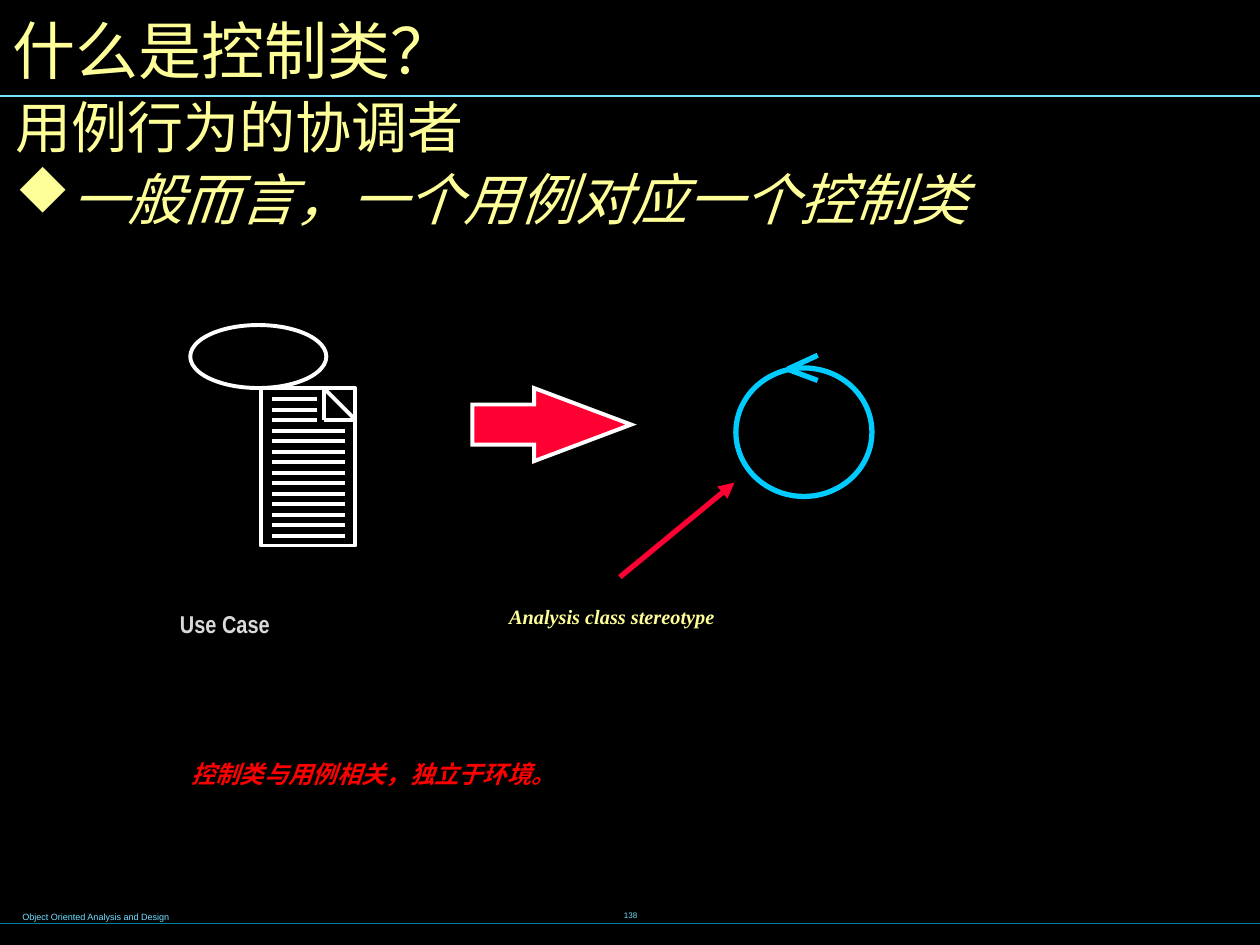
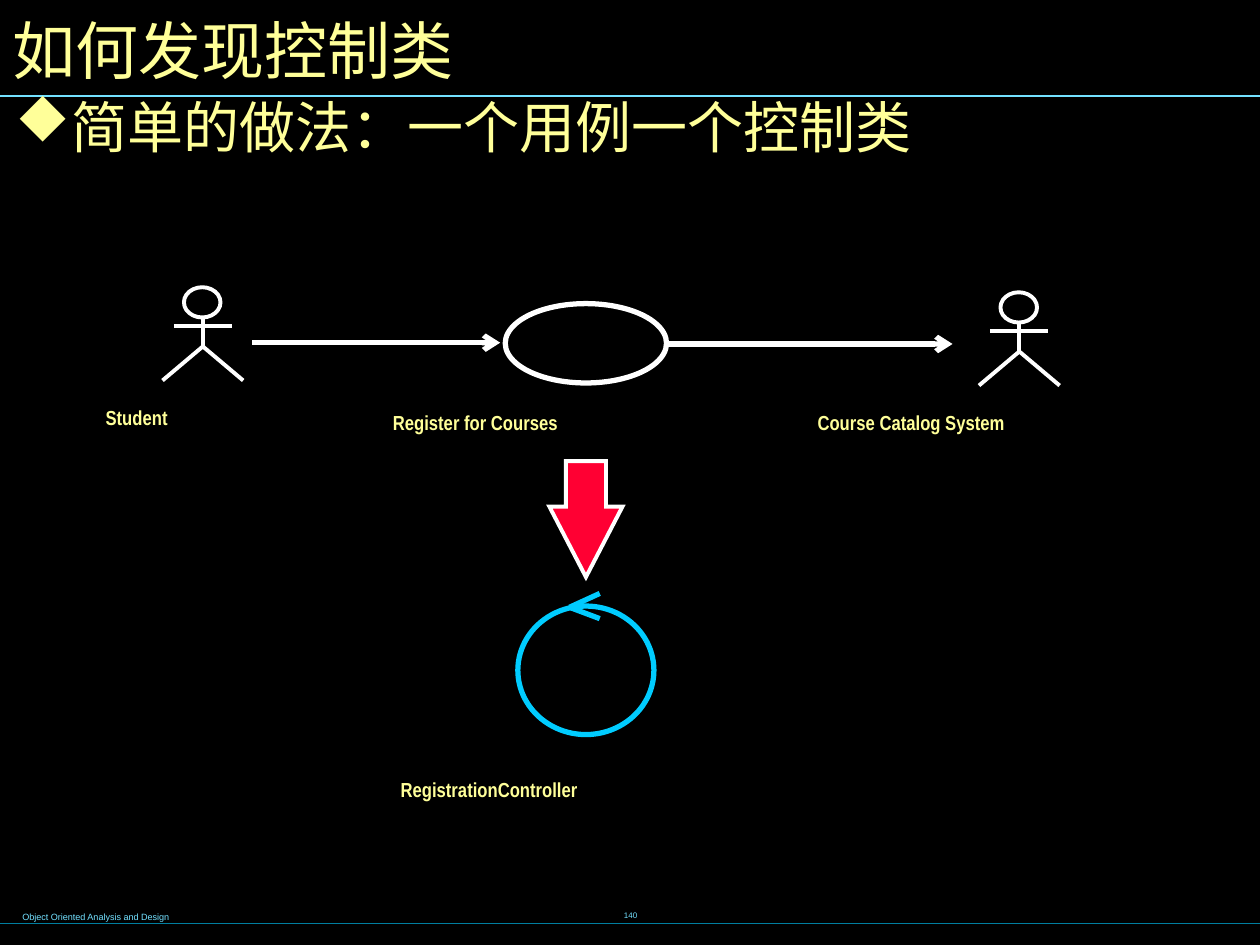
import pptx
import pptx.dml.color
import pptx.enum.shapes
import pptx.enum.text
import pptx.oxml.ns
import pptx.util
from lxml import etree

Inches = pptx.util.Inches
Pt = pptx.util.Pt
color = pptx.dml.color.RGBColor.from_string
qn = pptx.oxml.ns.qn
MSO_SHAPE = pptx.enum.shapes.MSO_SHAPE
STRAIGHT = pptx.enum.shapes.MSO_CONNECTOR.STRAIGHT
ANCHOR = pptx.enum.text.MSO_ANCHOR
ALIGN = pptx.enum.text.PP_ALIGN

BLACK, WHITE, YELLOW = "000000", "FFFFFF", "FFFF99"
RED, BLUE, PALE_BLUE, TEAL = "FF0033", "00CCFF", "73E1FF", "007E9F"
NARROW = "Arial Narrow"


def add_line(shapes, start, end, line_color, width, arrowhead=None):
    line = shapes.add_connector(STRAIGHT, *map(Inches, start + end))
    line.line.color.rgb = color(line_color)
    line.line.width = Pt(width)
    if arrowhead:
        etree.SubElement(line.line._get_or_add_ln(), qn("a:tailEnd"), type=arrowhead)
    etree.SubElement(line._element.spPr, qn("a:effectLst"))


def add_label(slide, box, text, size, font, text_color, inset=(0.1, 0.05), wrap=True,
              bold=True, italic=False):
    """Add a one-line text box whose text is set as a subscript."""
    label = slide.shapes.add_textbox(*map(Inches, box))
    frame = label.text_frame
    frame.word_wrap = wrap
    frame.margin_left = frame.margin_right = Inches(inset[0])
    frame.margin_top = frame.margin_bottom = Inches(inset[1])
    paragraph = frame.paragraphs[0]
    run = paragraph.add_run()
    run.text = text
    run._r.get_or_add_rPr().set("baseline", "-25000")
    paragraph.font.size = Pt(size)
    paragraph.font.name = font
    paragraph.font.bold = bold
    paragraph.font.italic = italic
    paragraph.font.color.rgb = color(text_color)
    return label


presentation = pptx.Presentation()
presentation.slide_width, presentation.slide_height = Inches(10), Inches(7.5)
background = presentation.slide_master.background.fill
background.solid()
background.fore_color.rgb = color(BLACK)

# Frame, title and body text; each body line is (text, bulleted, hanging indent, italic)
pages = [
    ("什么是控制类？", "138", 1.09, [
        ("用例行为的协调者", False, 0, False),
        ("一般而言，一个用例对应一个控制类", True, 0, True)]),
    ("如何发现控制类", "140", 5.52, [
        ("简单的做法：一个用例一个控制类", True, 0.37, False)]),
]
slides = []
for title_text, number, body_height, body_lines in pages:
    slide = presentation.slides.add_slide(presentation.slide_layouts[5])
    slides.append(slide)
    add_label(slide, (0.08, 7.1, 5.1, 0.25), "Object Oriented Analysis and Design",
              9, "Arial", PALE_BLUE, bold=False)
    page_number = add_label(slide, (3.42, 6.98, 3.17, 0.5), number, 8, "Arial",
                            PALE_BLUE, bold=False)
    page_number.text_frame.vertical_anchor = ANCHOR.MIDDLE
    page_number.text_frame.paragraphs[0].alignment = ALIGN.CENTER
    add_line(slide.shapes, (0, 7.33), (10, 7.33), TEAL, 1)
    add_line(slide.shapes, (0, 0.76), (10, 0.76), PALE_BLUE, 1)

    title = slide.shapes.title
    title.left, title.top, title.width, title.height = map(Inches, (0, 0, 9.93, 0.78))
    title.text_frame.text = title_text
    title.text_frame.auto_size = pptx.enum.text.MSO_AUTO_SIZE.NONE
    title.text_frame.vertical_anchor = ANCHOR.MIDDLE
    paragraph = title.text_frame.paragraphs[0]
    paragraph.alignment = ALIGN.LEFT
    paragraph.font.size = Pt(36)
    paragraph.font.name = NARROW
    paragraph.font.color.rgb = color(YELLOW)

    body = slide.shapes.add_textbox(*map(Inches, (0, 0.78, 9.28, body_height)))
    frame = body.text_frame
    frame.word_wrap = True
    frame.margin_left = frame.margin_right = Inches(0.12)
    frame.margin_top = frame.margin_bottom = Inches(0.06)
    for index, (text, bulleted, hanging, italic) in enumerate(body_lines):
        paragraph = frame.add_paragraph() if index else frame.paragraphs[0]
        paragraph.text = text
        paragraph.line_spacing = 0.8
        if index:
            paragraph.space_before = Pt(10)
        if bulleted:
            properties = paragraph._p.get_or_add_pPr()
            properties.set("marL", str(Inches(hanging)))
            properties.set("indent", str(-Inches(hanging)))
            bullet_color = etree.SubElement(properties, qn("a:buClr"))
            etree.SubElement(bullet_color, qn("a:srgbClr"), val=YELLOW)
            etree.SubElement(properties, qn("a:buFont"), typeface="Wingdings", charset="2")
            etree.SubElement(properties, qn("a:buChar"), char="u")
        paragraph.font.size = Pt(32)
        paragraph.font.name = "Arial"
        paragraph.font.italic = italic
        paragraph.font.color.rgb = color(YELLOW)

concept_slide, discovery_slide = slides

# Outlined ovals and the use case document: slide, preset, box, colour, width
outlines = [
    (concept_slide, MSO_SHAPE.OVAL, (1.51, 2.58, 1.08, 0.5), WHITE, 2.25),
    (concept_slide, MSO_SHAPE.RECTANGLE, (2.07, 3.08, 0.75, 1.25), WHITE, 2.25),
    (discovery_slide, MSO_SHAPE.OVAL, (4.01, 2.41, 1.28, 0.63), WHITE, 3),
]

# Control class symbols: a circle with an open arrowhead on top
for slide, left, top in [(concept_slide, 5.84, 2.92), (discovery_slide, 4.11, 4.81)]:
    outlines.append((slide, MSO_SHAPE.OVAL, (left, top, 1.08, 1.02), BLUE, 3))
    for barb in (-0.1, 0.1):
        add_line(slide.shapes, (left + 0.65, top + barb), (left + 0.41, top + 0.01), BLUE, 3)

# Actors: head, body, arms and legs
for center, top in [(1.61, 2.28), (8.09, 2.32)]:
    shapes = discovery_slide.shapes
    outlines.append((discovery_slide, MSO_SHAPE.OVAL, (center - 0.15, top, 0.29, 0.24),
                     WHITE, 2.25))
    add_line(shapes, (center, top + 0.24), (center, top + 0.47), WHITE, 2.25)
    add_line(shapes, (center - 0.23, top + 0.31), (center + 0.23, top + 0.31), WHITE, 2.25)
    hip, foot = Inches(top + 0.47), Inches(top + 0.74)
    builder = shapes.build_freeform(Inches(center - 0.32), foot)
    builder.add_line_segments([(Inches(center), hip), (Inches(center + 0.32), foot)],
                              close=False)
    legs = builder.convert_to_shape()
    legs.shadow.inherit = False
    legs.fill.background()
    legs.line.color.rgb = color(WHITE)
    legs.line.width = Pt(2.25)

for slide, preset, box, line_color, width in outlines:
    outline = slide.shapes.add_shape(preset, *map(Inches, box))
    outline.shadow.inherit = False
    outline.fill.background()
    outline.line.color.rgb = color(line_color)
    outline.line.width = Pt(width)

# Document fold and text lines; the first three lines stop at the fold
for start, end in [((2.57, 3.08), (2.82, 3.33)), ((2.57, 3.08), (2.57, 3.33)),
                   ((2.82, 3.33), (2.57, 3.33))]:
    add_line(concept_slide.shapes, start, end, WHITE, 2.25)
for row in range(14):
    y = 3.17 + row / 12
    add_line(concept_slide.shapes, (2.16, y), (2.52 if row < 3 else 2.74, y), WHITE, 2.25)

# Red block arrows
for slide, box, rotation, head in [
    (concept_slide, (3.75, 3.08, 1.26, 0.58), 0, 1.329),
    (discovery_slide, (4.19, 3.83, 0.92, 0.58), 90, 0.964),
]:
    arrow = slide.shapes.add_shape(MSO_SHAPE.RIGHT_ARROW, *map(Inches, box))
    arrow.rotation = rotation
    arrow.adjustments[0] = 0.548
    arrow.adjustments[1] = head
    arrow.shadow.inherit = False
    arrow.fill.solid()
    arrow.fill.fore_color.rgb = color(RED)
    arrow.line.color.rgb = color(WHITE)
    arrow.line.width = Pt(2.25)
    etree.SubElement(arrow.line._get_or_add_ln(), qn("a:miter"), lim="800000")

add_line(concept_slide.shapes, (4.92, 4.58), (5.83, 3.83), RED, 3, "triangle")
add_line(discovery_slide.shapes, (2, 2.72), (3.97, 2.72), WHITE, 3, "arrow")
add_line(discovery_slide.shapes, (5.3, 2.73), (7.56, 2.73), WHITE, 3, "arrow")

add_label(concept_slide, (1.33, 4.56, 1.45, 0.51), "Use Case", 24, NARROW, "D9D9D9", wrap=False)
add_label(concept_slide, (3.92, 4.55, 2.33, 0.78), "Analysis class stereotype", 20,
          "Times New Roman", YELLOW, inset=(0.12, 0.06), italic=True)
add_label(concept_slide, (1.42, 5.75, 7.5, 0.51), "控制类与用例相关，独立于环境。", 24,
          NARROW, "FF0000", italic=True)
for text, box in [
    ("Student", (0.74, 2.98, 1.74, 0.43)),
    ("Register for Courses", (3.02, 3.02, 3.27, 0.43)),
    ("Course Catalog System", (6.39, 3.02, 3.35, 0.43)),
]:
    add_label(discovery_slide, box, text, 20, NARROW, YELLOW)
add_label(discovery_slide, (3.18, 5.98, 2.44, 0.34), "RegistrationController", 20, NARROW,
          YELLOW, inset=(0, 0), wrap=False)

presentation.save("out.pptx")
